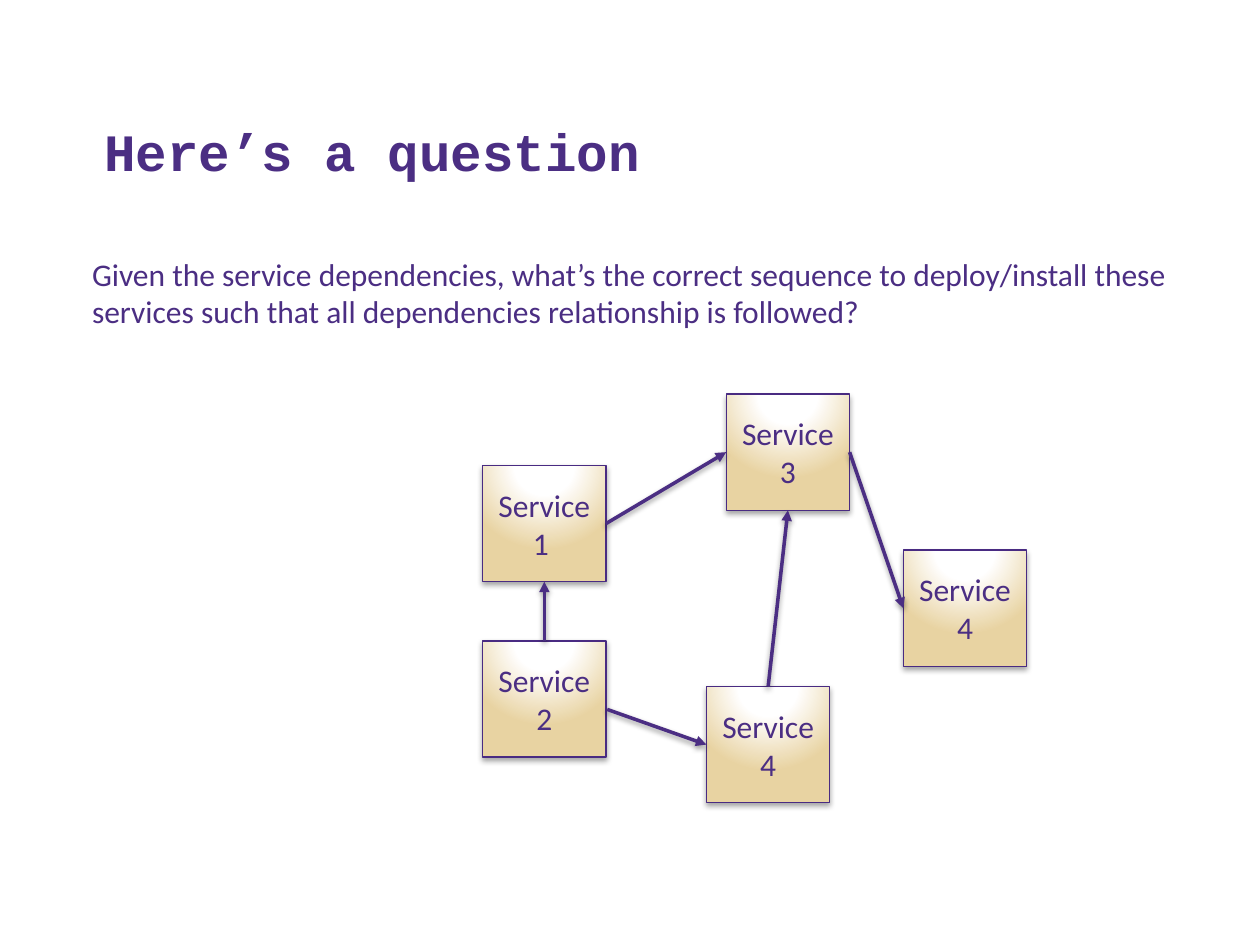
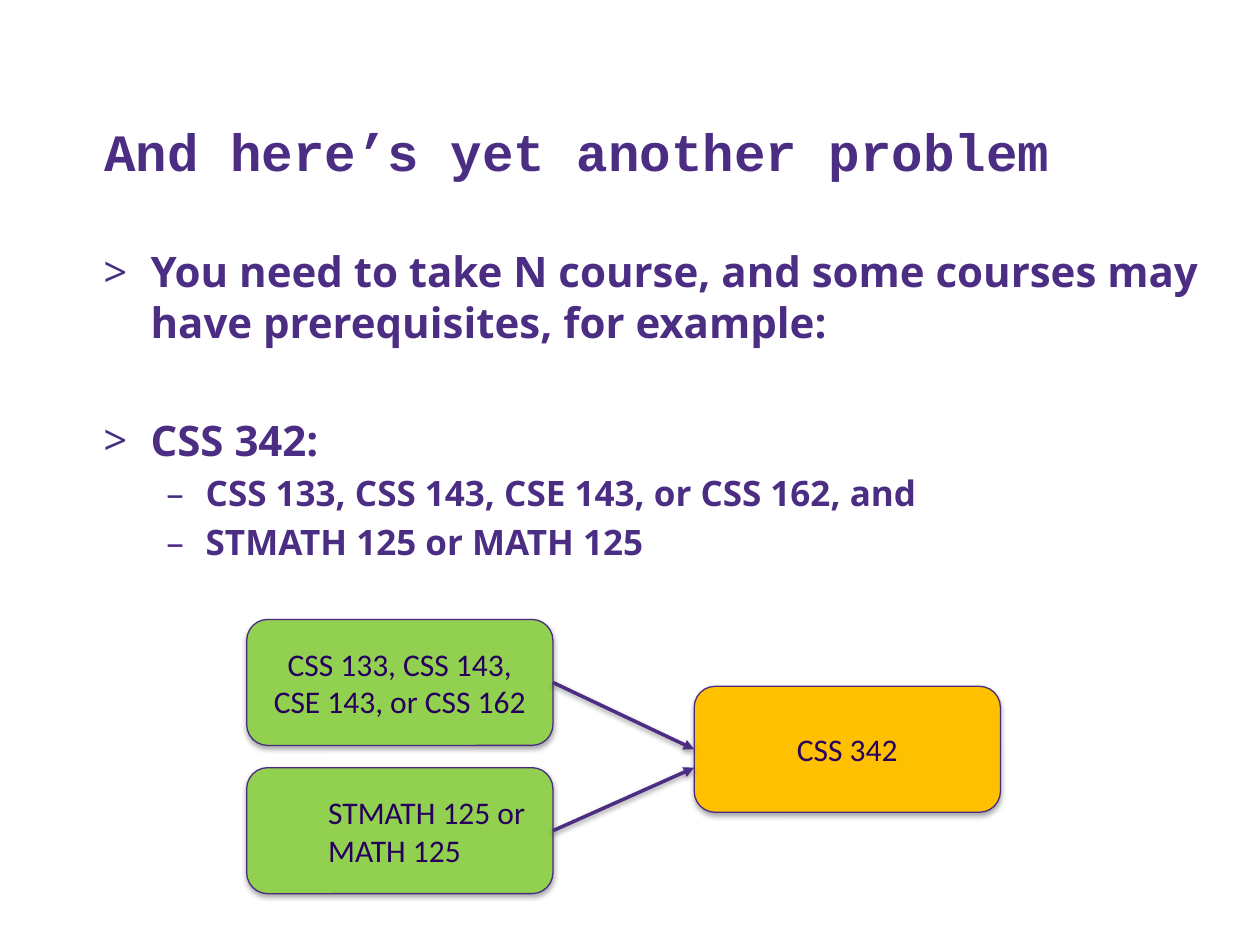
"""Build two slides on ordering services and courses by their dependencies."""
from pptx import Presentation
from pptx.dml.color import RGBColor
from pptx.enum.shapes import MSO_CONNECTOR, MSO_SHAPE
from pptx.enum.text import MSO_ANCHOR, PP_ALIGN
from pptx.oxml import parse_xml
from pptx.oxml.ns import nsdecls, qn
from pptx.util import Pt

PURPLE = RGBColor(0x4B, 0x2E, 0x83)
OUTLINE = RGBColor(0x49, 0x2B, 0x82)
DARK = RGBColor(0x26, 0x00, 0x5C)
WHITE = RGBColor(0xFF, 0xFF, 0xFF)
GOLD = RGBColor(0xE8, 0xD3, 0xA2)
GREEN = RGBColor(0x92, 0xD0, 0x50)
AMBER = RGBColor(0xFF, 0xC0, 0x00)

TITLE_FONT = "Courier New"
LIST_FONT = "Open Sans"
BODY_FONT = "Calibri"

RECTANGLE = MSO_SHAPE.RECTANGLE
ROUNDED = MSO_SHAPE.ROUNDED_RECTANGLE
STRAIGHT = MSO_CONNECTOR.STRAIGHT
LEFT, CENTER = PP_ALIGN.LEFT, PP_ALIGN.CENTER
MIDDLE, BOTTOM = MSO_ANCHOR.MIDDLE, MSO_ANCHOR.BOTTOM
TOP_SIDE, LEFT_SIDE, BOTTOM_SIDE, RIGHT_SIDE = range(4)

TITLE_LAYOUT = 5
TITLE_PLACE = (52.5, 29.5, 644.5, 78)
SERVICE_SIZE = (70.5, 66.4)
COURSE_SIZE = (175, 72)
LIST_LEVELS = [(">", 27, -27, 24), ("–", 58.5, -22.5, 20)]


class Deck:
    """Hold the shared style and the current slide."""

    def __init__(self):
        self.presentation = Presentation()
        self.presentation.slide_width = Pt(720)
        self.presentation.slide_height = Pt(540)
        self.slide = None

    def add_run(self, paragraph, text, font, size, color, bold=False):
        run = paragraph.add_run()
        run.text = text
        run.font.name = font
        run.font.size = Pt(size)
        run.font.bold = bold
        run.font.color.rgb = color

    def set_shadow(self, effects, distance, opacity):
        effects.append(parse_xml(
            f'<a:outerShdw {nsdecls("a")} blurRad="{Pt(3.15)}" dist="{Pt(distance)}" '
            f'dir="5400000" rotWithShape="0"><a:srgbClr val="000000">'
            f'<a:alpha val="{opacity * 1000}"/></a:srgbClr></a:outerShdw>'))

    def add_slide(self, title):
        layout = self.presentation.slide_layouts[TITLE_LAYOUT]
        self.slide = self.presentation.slides.add_slide(layout)
        self.slide.background.fill.solid()
        self.slide.background.fill.fore_color.rgb = WHITE
        shape = self.slide.shapes.title
        shape.left, shape.top, shape.width, shape.height = map(Pt, TITLE_PLACE)
        shape.text_frame.vertical_anchor = BOTTOM
        paragraph = shape.text_frame.paragraphs[0]
        paragraph.alignment = LEFT
        self.add_run(paragraph, title, TITLE_FONT, 30, PURPLE, True)

    def add_text_frame(self, left, top, width, height):
        shape = self.slide.shapes.add_textbox(*map(Pt, (left, top, width, height)))
        shape.text_frame.word_wrap = True
        return shape.text_frame

    def add_text(self, text, *place):
        frame = self.add_text_frame(*place)
        self.add_run(frame.paragraphs[0], text, BODY_FONT, 18, PURPLE)

    def add_list(self, items, *place):
        frame = self.add_text_frame(*place)
        for index, (level, space, text) in enumerate(items):
            paragraph = frame.add_paragraph() if index else frame.paragraphs[0]
            mark, margin, indent, size = LIST_LEVELS[level]
            paragraph.space_before = Pt(space)
            paragraph.level = level
            properties = paragraph._p.get_or_add_pPr()
            properties.set("marL", str(Pt(margin)))
            properties.set("indent", str(Pt(indent)))
            for element in (f'buFont {nsdecls("a")} typeface="{LIST_FONT}"',
                            f'buChar {nsdecls("a")} char="{mark}"'):
                properties.append(parse_xml(f"<a:{element}/>"))
            self.add_run(paragraph, text, LIST_FONT, size, PURPLE, True)

    def add_box(self, kind, text, left, top, size, fill, color, margin=None):
        shape = self.slide.shapes.add_shape(kind, *map(Pt, (left, top, *size)))
        shape.fill.solid()
        shape.fill.fore_color.rgb = fill
        shape.line.color.rgb = OUTLINE
        shape.line.width = Pt(0.75)
        shape.shadow.inherit = False
        self.set_shadow(shape._element.spPr.find(qn("a:effectLst")), 1.8, 35)
        shape.text_frame.word_wrap = True
        shape.text_frame.vertical_anchor = MIDDLE
        paragraph = shape.text_frame.paragraphs[0]
        paragraph.alignment = CENTER
        if margin:
            paragraph.alignment = LEFT
            paragraph._p.get_or_add_pPr().set("marL", str(Pt(margin)))
        self.add_run(paragraph, text, BODY_FONT, 18, color)
        return shape

    def add_service(self, text, left, top):
        shape = self.add_box(RECTANGLE, text, left, top, SERVICE_SIZE, GOLD, PURPLE)
        stops = "".join(f'<a:gs pos="{position * 1000}"><a:srgbClr val="{color}"/></a:gs>'
                        for position, color in ((0, WHITE), (35, WHITE), (100, GOLD)))
        properties = shape._element.spPr
        properties.replace(properties.find(qn("a:solidFill")), parse_xml(
            f'<a:gradFill {nsdecls("a")} rotWithShape="1"><a:gsLst>{stops}</a:gsLst>'
            '<a:path path="circle"><a:fillToRect l="50000" t="-80000" r="50000" b="180000"/>'
            '</a:path></a:gradFill>'))
        return shape

    def add_course(self, text, left, top, fill, margin=None):
        return self.add_box(ROUNDED, text, left, top, COURSE_SIZE, fill, DARK, margin)

    def add_arrow(self, start=(0, 0), end=(0, 0), source=None, target=None):
        """Draw from a point or (shape, side) source to a point or target."""
        connector = self.slide.shapes.add_connector(STRAIGHT, *map(Pt, (*start, *end)))
        if source:
            connector.begin_connect(*source)
        if target:
            connector.end_connect(*target)
        connector.line.color.rgb = PURPLE
        connector.line.width = Pt(2)
        properties = connector._element.spPr
        properties.find(qn("a:ln")).append(
            parse_xml(f'<a:tailEnd {nsdecls("a")} type="triangle"/>'))
        effects = parse_xml(f'<a:effectLst {nsdecls("a")}/>')
        properties.append(effects)
        self.set_shadow(effects, 1.57, 38)


def build_services(deck):
    deck.add_slide("Here’s a question")
    first = deck.add_service("Service 1 ", 275.8, 266)
    second = deck.add_service("Service 2", 275.8, 366.3)
    third = deck.add_service("Service 3", 415, 225.2)
    lower_fourth = deck.add_service("Service 4", 403.7, 392.3)
    right_fourth = deck.add_service("Service 4", 516.2, 314.4)
    deck.add_arrow(source=(first, RIGHT_SIDE), target=(third, LEFT_SIDE))
    deck.add_arrow(start=(347, 405.4), target=(lower_fourth, LEFT_SIDE))
    deck.add_arrow(source=(lower_fourth, TOP_SIDE), target=(third, BOTTOM_SIDE))
    deck.add_arrow(source=(second, TOP_SIDE), target=(first, BOTTOM_SIDE))
    deck.add_arrow(source=(third, RIGHT_SIDE), target=(right_fourth, LEFT_SIDE))
    deck.add_text("Given the service dependencies, what’s the correct sequence to "
                  "deploy/install these services such that all dependencies "
                  "relationship is followed?", 45.5, 142, 630, 51)


def build_courses(deck):
    deck.add_slide("And here’s yet another problem")
    deck.add_list([
        (0, 0, "You need to take N course, and some courses may have "
               "prerequisites, for example:"),
        (0, 38.5, "CSS 342:"),
        (1, 4, "CSS 133, CSS 143, CSE 143, or CSS 162, and"),
        (1, 4, "STMATH 125 or MATH 125"),
    ], 52, 137, 645, 298)
    math = deck.add_course("STMATH 125 or MATH 125", 141, 438.7, GREEN, 36)
    programming = deck.add_course("CSS 133, CSS 143, CSE 143, or CSS 162", 141, 354, GREEN)
    goal = deck.add_course("CSS 342", 396.7, 392.2, AMBER)
    deck.add_arrow(source=(programming, RIGHT_SIDE), target=(goal, LEFT_SIDE))
    deck.add_arrow(source=(math, RIGHT_SIDE), end=(396.7, 438.7))


def main():
    deck = Deck()
    build_services(deck)
    build_courses(deck)
    deck.presentation.save("out.pptx")


if __name__ == "__main__":
    main()
